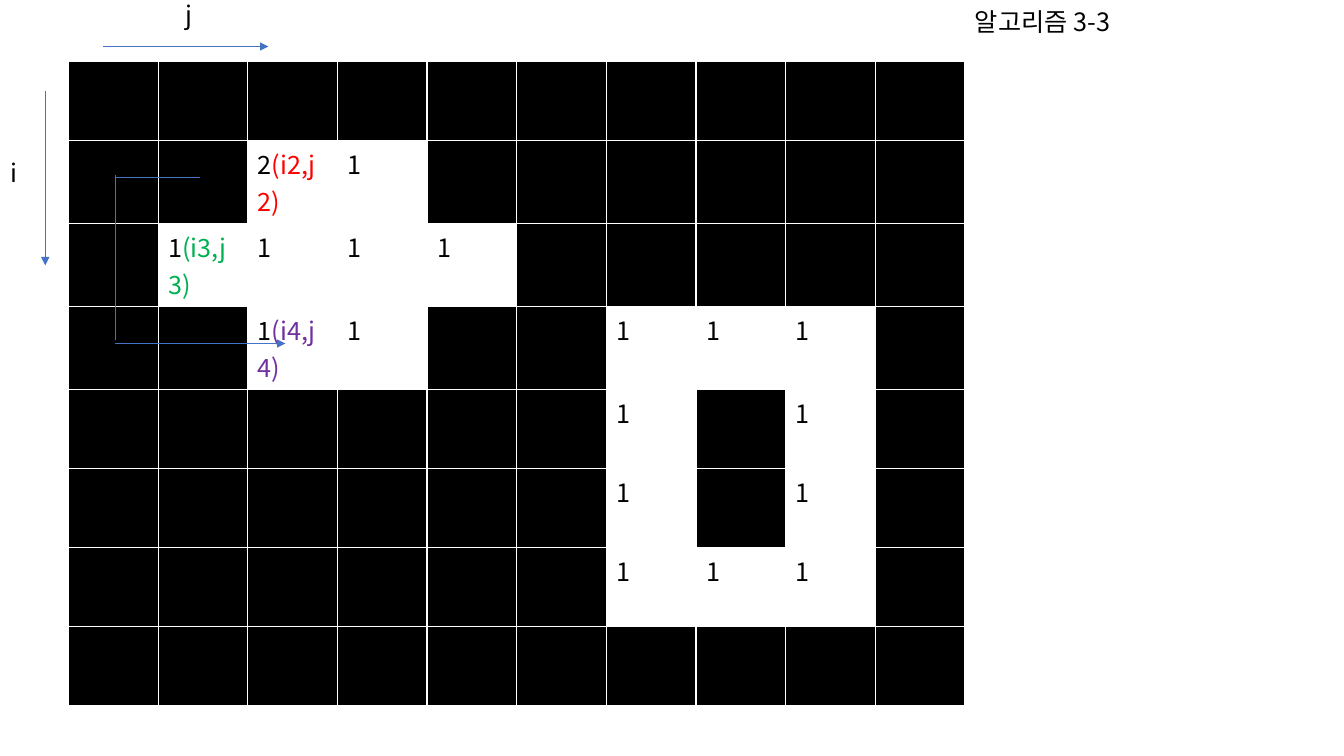
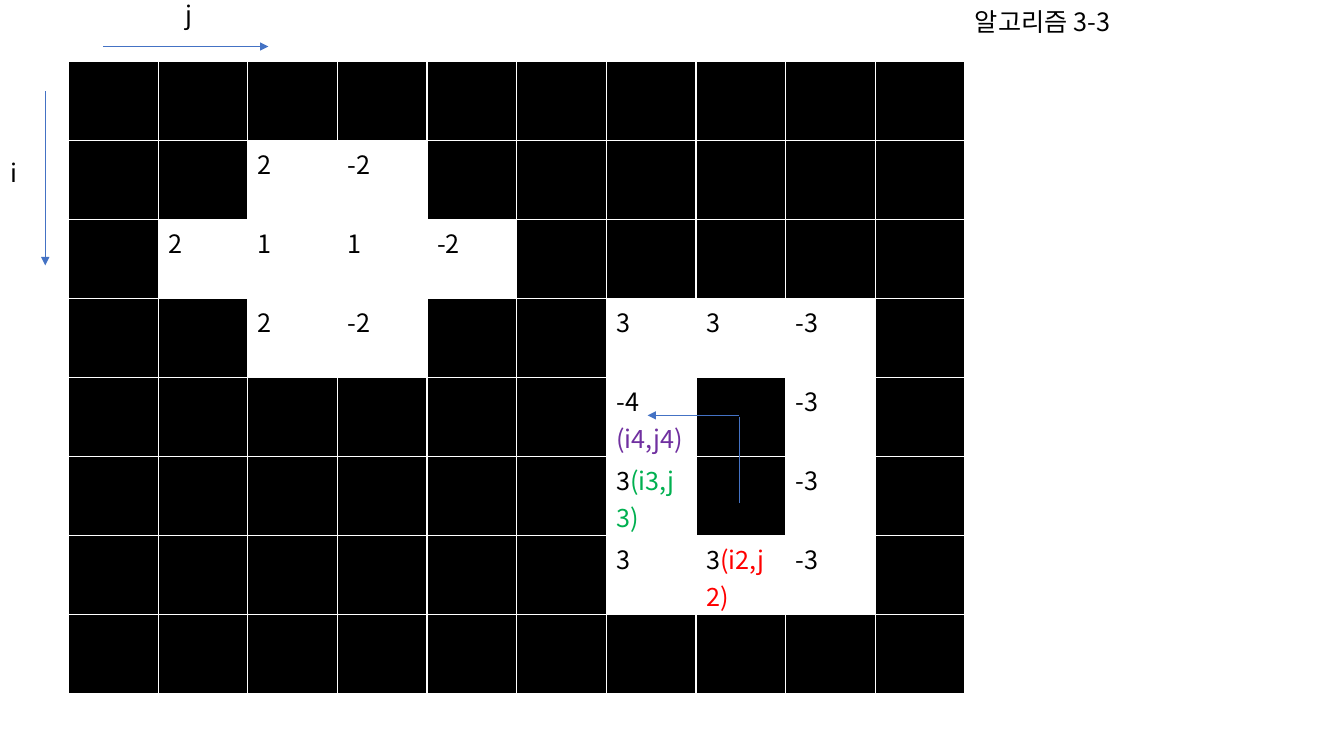
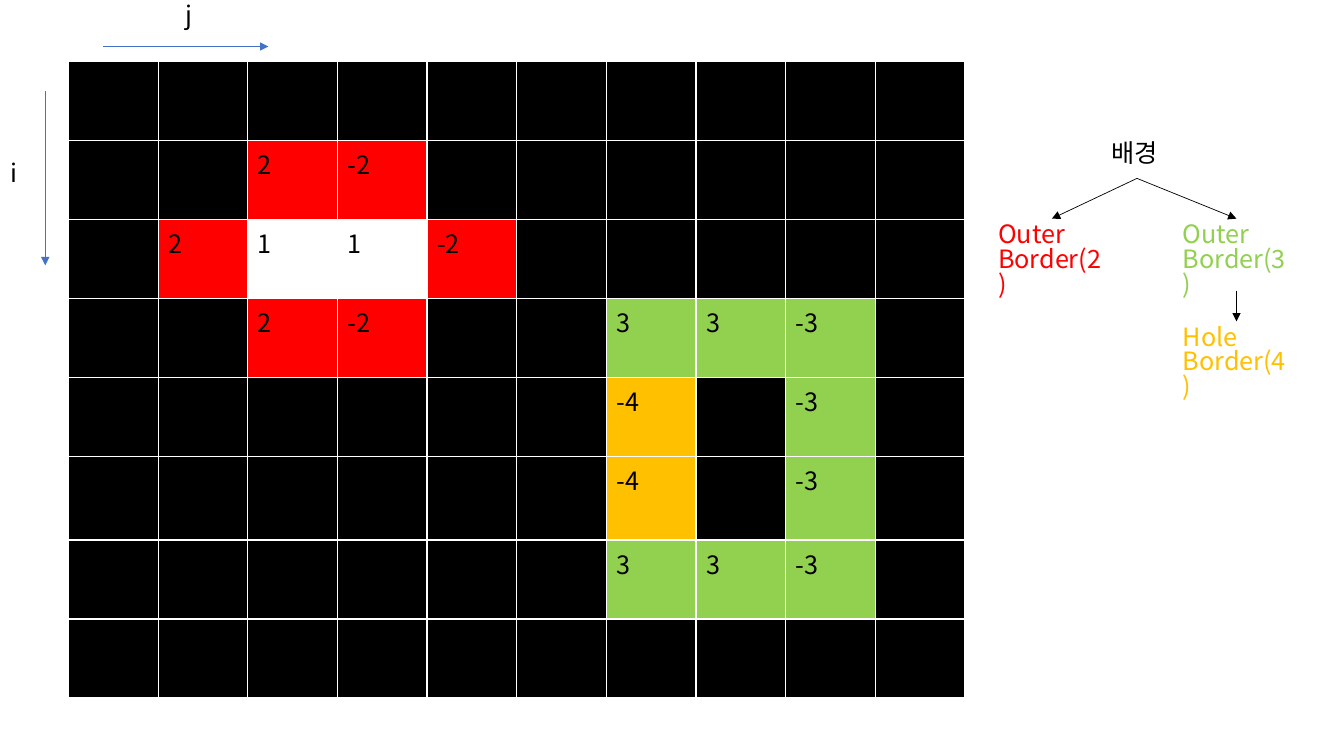
import pptx
import pptx.dml.color
import pptx.enum.shapes
import pptx.enum.text
import pptx.oxml.ns
import pptx.util
from lxml import etree

RGB = pptx.dml.color.RGBColor
BLACK = RGB(0x00, 0x00, 0x00)
WHITE = RGB(0xFF, 0xFF, 0xFF)
RED = RGB(0xFF, 0x00, 0x00)
GREEN = RGB(0x00, 0xB0, 0x50)
PURPLE = RGB(0x70, 0x30, 0xA0)
LIME = RGB(0x92, 0xD0, 0x50)
AMBER = RGB(0xFF, 0xC0, 0x00)
BLUE = RGB(0x44, 0x72, 0xC4)

FONT = "Noto Sans CJK KR"
FONT_SIZE = 18
LABEL_SPACING = 0.82
TITLE = "알고리즘 3-3"
TITLE_LAYOUT, BLANK_LAYOUT = 5, 6

# The pixel grid: every position is counted in its columns and rows
COLUMNS, ROWS = 10, 8
GRID_LEFT, GRID_TOP, GRID_WIDTH, GRID_HEIGHT = 0.68, 0.61, 8.89, 6.27
COLUMN, ROW = GRID_WIDTH / COLUMNS, GRID_HEIGHT / ROWS
TALL_ROW = 0.83

BACKGROUND = "."
STARTING_PIXELS = """
. . . . . . . . . .
. . 2 1 . . . . . .
. 1 1 1 1 . . . . .
. . 1 1 . . 1 1 1 .
. . . . . . 1 . 1 .
. . . . . . 1 . 1 .
. . . . . . 1 1 1 .
. . . . . . . . . .
"""
HOLE_PIXELS = """
. . . . . . . . . .
. . 2 -2 . . . . . .
. 2 1 1 -2 . . . . .
. . 2 -2 . . 3 3 -3 .
. . . . . . -4 . -3 .
. . . . . . 3 . -3 .
. . . . . . 3 3 -3 .
. . . . . . . . . .
"""
FINAL_PIXELS = """
. . . . . . . . . .
. . 2 -2 . . . . . .
. 2 1 1 -2 . . . . .
. . 2 -2 . . 3 3 -3 .
. . . . . . -4 . -3 .
. . . . . . -4 . -3 .
. . . . . . 3 3 -3 .
. . . . . . . . . .
"""
BORDER_FILLS = {"2": RED, "3": LIME, "4": AMBER}


def x_at(column):
    return pptx.util.Inches(GRID_LEFT + column * COLUMN)


def y_at(row):
    return pptx.util.Inches(GRID_TOP + row * ROW)


def box_at(column, row, columns, rows):
    """Left, top, width and height of a box counted in grid cells."""
    return (x_at(column), y_at(row),
            pptx.util.Inches(columns * COLUMN), pptx.util.Inches(rows * ROW))


# Text
def add_span(para, text, color):
    span = para.add_run()
    span.text = text
    span.font.name = FONT
    span.font.size = pptx.util.Pt(FONT_SIZE)
    span.font.color.rgb = color
    east_asian = etree.SubElement(span.font._element, pptx.oxml.ns.qn("a:ea"))
    east_asian.set("typeface", FONT)


def fill_label(box, lines, color):
    frame = box.text_frame
    frame.word_wrap = True
    frame.auto_size = pptx.enum.text.MSO_AUTO_SIZE.NONE
    frame.vertical_anchor = pptx.enum.text.MSO_ANCHOR.TOP
    for index, line in enumerate(lines):
        para = frame.add_paragraph() if index else frame.paragraphs[0]
        para.alignment = pptx.enum.text.PP_ALIGN.LEFT
        para.line_spacing = LABEL_SPACING
        add_span(para, line, color)


def add_label(page, place, lines, color=BLACK):
    box = page.shapes.add_textbox(*box_at(*place))
    fill_label(box, lines, color)
    return box


def place_title(page):
    title = page.shapes.title
    title.left, title.top, title.width, title.height = box_at(10, -0.7, 1.89, 0.51)
    fill_label(title, [TITLE], BLACK)


# Lines
def add_line(page, start, end, color=BLUE, arrow=False):
    line = page.shapes.add_connector(
        pptx.enum.shapes.MSO_CONNECTOR.STRAIGHT,
        x_at(start[0]), y_at(start[1]), x_at(end[0]), y_at(end[1]))
    line.line.color.rgb = color
    line.line.width = pptx.util.Pt(0.5)
    if arrow:
        tail = etree.SubElement(line.line._get_or_add_ln(),
                                pptx.oxml.ns.qn("a:tailEnd"))
        tail.set("type", "triangle")
    etree.SubElement(line._element.spPr, pptx.oxml.ns.qn("a:effectLst"))
    return line


def join_boxes(page, upper, lower):
    line = add_line(page, (0, 0), (1, 1), BLACK, arrow=True)
    line.begin_connect(upper, 2)
    line.end_connect(lower, 0)


def add_scan_path(page, points):
    """A path of lines whose last stretch carries the arrowhead."""
    for number, (start, end) in enumerate(points, 1):
        add_line(page, start, end, arrow=number == len(points))


# Pixel table
def add_cell_borders(cell):
    properties = cell._tc.get_or_add_tcPr()
    for position, side in enumerate(("lnL", "lnR", "lnT", "lnB")):
        border = etree.Element(pptx.oxml.ns.qn("a:" + side), w="12700")
        fill = etree.SubElement(border, pptx.oxml.ns.qn("a:solidFill"))
        etree.SubElement(fill, pptx.oxml.ns.qn("a:srgbClr"), val=str(WHITE))
        properties.insert(position, border)


def add_pixels(page, pixels, notes=None, fills=None, tall_row=None):
    """Pixel table; a note is (text, colour, whether it starts a new line)."""
    notes, fills = notes or {}, fills or {}
    table = page.shapes.add_table(
        ROWS, COLUMNS, *box_at(0, 0, COLUMNS, ROWS)).table
    table.first_row = table.horz_banding = False
    for column in table.columns:
        column.width = pptx.util.Inches(COLUMN)
    for row in table.rows:
        row.height = pptx.util.Inches(ROW)
    if tall_row is not None:
        table.rows[tall_row].height = pptx.util.Inches(TALL_ROW)

    for row, values in enumerate(pixels.strip().splitlines()):
        for column, value in enumerate(values.split()):
            cell = table.cell(row, column)
            cell.fill.solid()
            add_cell_borders(cell)
            if value == BACKGROUND:
                cell.fill.fore_color.rgb = BLACK
                continue
            cell.fill.fore_color.rgb = fills.get(value.lstrip("-"), WHITE)
            para = cell.text_frame.paragraphs[0]
            add_span(para, value, BLACK)
            if (row, column) in notes:
                text, color, new_line = notes[row, column]
                if new_line:
                    para = cell.text_frame.add_paragraph()
                add_span(para, text, color)
    return table


def add_axes(page):
    add_line(page, (0.39, -0.19), (2.23, -0.19), arrow=True)
    add_line(page, (-0.26, 0.38), (-0.26, 2.58), arrow=True)
    add_label(page, (-0.76, 1.22, 0.36, 0.51), ["i"])
    add_label(page, (1.19, -0.78, 0.43, 0.51), ["j"])


# Border hierarchy
def add_border_tree(page, column, row):
    root = add_label(page, (column + 1.26, row, 0.8, 0.51), ["배경"])
    size = (1.42, 0.91)
    left = add_label(page, (column, row + 1.02, *size),
                     ["Outer", "Border(2)"], RED)
    right = add_label(page, (column + 2.06, row + 1.02, *size),
                      ["Outer", "Border(3)"], LIME)
    hole = add_label(page, (column + 2.06, row + 2.32, *size),
                     ["Hole", "Border(4)"], AMBER)
    for upper, lower in ((right, hole), (root, right), (root, left)):
        join_boxes(page, upper, lower)


# Slides
def add_page(deck, layout):
    return deck.slides.add_slide(deck.slide_layouts[layout])


def build_start(deck):
    page = add_page(deck, TITLE_LAYOUT)
    place_title(page)
    add_pixels(page, STARTING_PIXELS, {
        (1, 2): ("(i2,j2)", RED, False),
        (2, 1): ("(i3,j3)", GREEN, False),
        (3, 2): ("(i4,j4)", PURPLE, False)})
    add_axes(page)
    add_scan_path(page, [((1.47, 1.47), (0.52, 1.47)),
                         ((0.52, 1.44), (0.52, 3.53)),
                         ((0.52, 3.57), (2.42, 3.57))])


def build_hole(deck):
    page = add_page(deck, TITLE_LAYOUT)
    place_title(page)
    notes = {(4, 6): ("(i4,j4)", PURPLE, True),
             (5, 6): ("(i3,j3)", GREEN, False),
             (6, 7): ("(i2,j2)", RED, False)}
    table = add_pixels(page, HOLE_PIXELS, notes)
    # Two lines fit a regular row without the lower margin
    for row, column in notes:
        table.cell(row, column).margin_bottom = 0
    add_axes(page)
    add_scan_path(page, [((7.48, 5.59), (7.48, 4.5)),
                         ((7.48, 4.48), (6.46, 4.48))])


def build_result(deck):
    page = add_page(deck, BLANK_LAYOUT)
    add_pixels(page, FINAL_PIXELS, fills=BORDER_FILLS, tall_row=5)
    add_axes(page)
    add_border_tree(page, 10.26, 0.97)


def main():
    deck = pptx.Presentation()
    deck.slide_width = pptx.util.Inches(13.33)
    deck.slide_height = pptx.util.Inches(7.5)
    for build in (build_start, build_hole, build_result):
        build(deck)
    deck.save("out.pptx")


if __name__ == "__main__":
    main()
